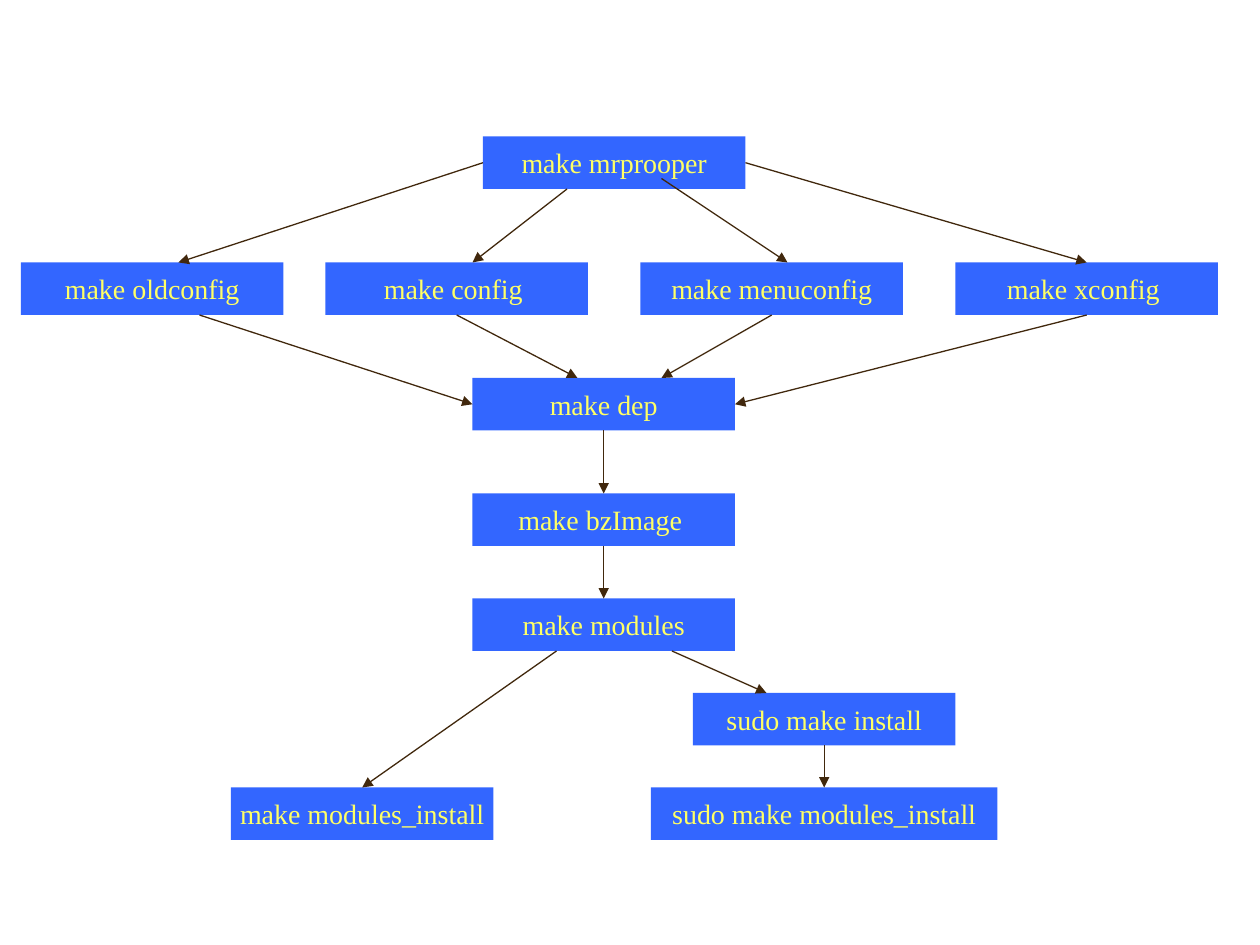
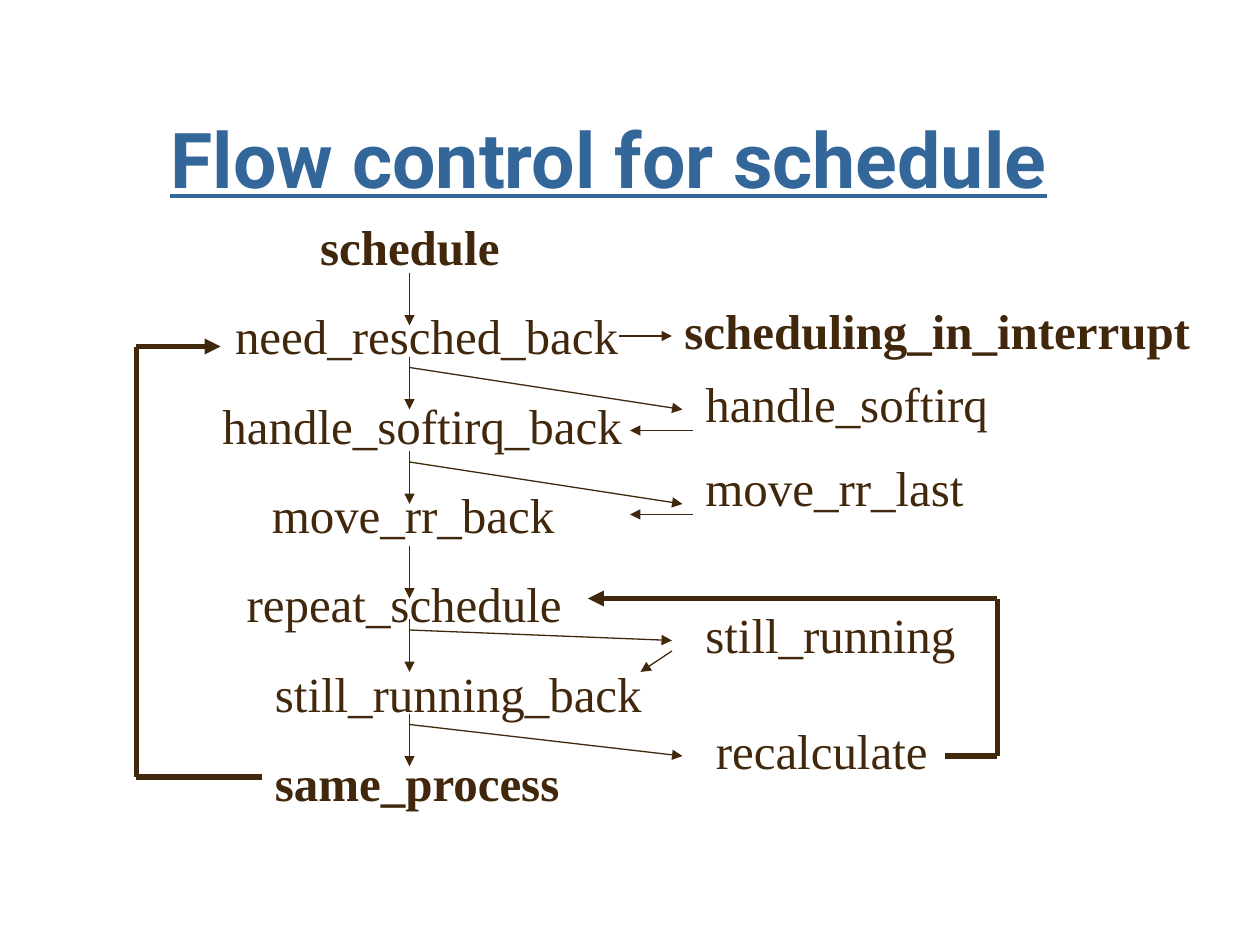
from itertools import pairwise

from lxml import etree
from pptx import Presentation
from pptx.dml.color import RGBColor
from pptx.enum.shapes import MSO_CONNECTOR, MSO_SHAPE
from pptx.enum.text import MSO_ANCHOR, PP_ALIGN
from pptx.oxml.ns import qn
from pptx.util import Pt

PX = 7620  # 120 px to the inch
COLORS = {"box": "3366FF", "box_text": "FFFF66", "ink": "41280D",
          "title": "336699", "paper": "FFFFFF"}
BODY_FONT, TITLE_FONT = "Times New Roman", "Roboto"
TOP, LEFT, BOTTOM, RIGHT = range(4)
BOX_W, BOX_H = 250, 50
LABEL_H = 68
STEP_GAP = 17.5


def rgb(name):
    return RGBColor.from_string(COLORS[name])


class Deck:
    """Holds the shared style and the slide being filled."""

    def __init__(self):
        self.prs = Presentation()
        self.prs.slide_width, self.prs.slide_height = 1200 * PX, 900 * PX
        self.s = None

    def slide(self):
        self.s = self.prs.slides.add_slide(self.prs.slide_layouts[6])

    def rect(self, x, y, w, h, fill):
        sp = self.s.shapes.add_shape(MSO_SHAPE.RECTANGLE, *(n * PX for n in (x, y, w, h)))
        sp.shadow.inherit = False
        sp.fill.solid()
        sp.fill.fore_color.rgb = rgb(fill)
        sp.line.fill.background()
        return sp

    def style(self, p, size, color, font=BODY_FONT, bold=False, align=PP_ALIGN.LEFT):
        p.alignment = align
        for r in p.runs:
            r.font.size, r.font.name, r.font.bold = Pt(size), font, bold
            r.font.color.rgb = rgb(color)

    def command(self, text, x, y, w=BOX_W):
        sp = self.rect(x, y, w, BOX_H, "box")
        tf = sp.text_frame
        tf.text = text
        tf.word_wrap = False
        tf.vertical_anchor = MSO_ANCHOR.MIDDLE
        self.style(tf.paragraphs[0], 16, "box_text", align=PP_ALIGN.CENTER)
        return sp

    def text(self, text, x, y, w, h=LABEL_H, size=28, color="ink", **look):
        sp = self.s.shapes.add_textbox(*(n * PX for n in (x, y, w, h)))
        tf = sp.text_frame
        tf.text = text
        tf.word_wrap = True
        self.style(tf.paragraphs[0], size, color, **look)
        return tf.paragraphs[0]

    def title(self, text):
        p = self.text(text, 70, 100, 1020, 150, 44, "title",
                      font=TITLE_FONT, bold=True, align=PP_ALIGN.CENTER)
        p.runs[0].font.underline = True

    def steps(self, rows, x, y, w, h):
        """One paragraph a row; a row is text, indent in px, bold."""
        tf = self.rect(x, y, w, h, "paper").text_frame
        tf.word_wrap = True
        tf.vertical_anchor = MSO_ANCHOR.TOP
        for i, (text, indent, bold) in enumerate(rows):
            p = tf.add_paragraph() if i else tf.paragraphs[0]
            p.text = text
            p.space_before = Pt(STEP_GAP if i else 0)
            pPr = p._p.get_or_add_pPr()
            pPr.set("marL", str(indent * PX))
            pPr.set("indent", "0")
            self.style(p, 28, "ink", bold=bold)

    def line(self, start, end, width=0.75, arrow=True):
        """Each end is a point (x, y) or a joint (shape, side)."""
        joints = [not isinstance(e[0], int) for e in (start, end)]
        (x1, y1), (x2, y2) = [(0, 0) if j else e for j, e in zip(joints, (start, end))]
        c = self.s.shapes.add_connector(MSO_CONNECTOR.STRAIGHT, x1 * PX, y1 * PX, x2 * PX, y2 * PX)
        if joints[0]:
            c.begin_connect(*start)
        if joints[1]:
            c.end_connect(*end)
        c.line.color.rgb = rgb("ink")
        c.line.width = Pt(width)
        if arrow:
            etree.SubElement(c.line._get_or_add_ln(), qn("a:tailEnd"), type="triangle")
        etree.SubElement(c._element.spPr, qn("a:effectLst"))

    def loop(self, *points):
        """Thick line through the points, with an arrowhead at the last."""
        for a, b in pairwise(points):
            self.line(a, b, 3, b == points[-1])


def build_slide(d):
    d.slide()
    clean = d.command("make mrprooper", 460, 130)
    old, config, menu, xconfig = [
        d.command(text, x, 250) for text, x in
        [("make oldconfig", 20), ("make config ", 310),
         ("make menuconfig", 610), ("make xconfig ", 910)]]
    dep, image, modules = [
        d.command(text, 450, y) for text, y in
        [("make dep", 360), ("make bzImage ", 470), ("make modules", 570)]]
    sudo_modules = d.command("sudo make modules_install", 620, 750, 330)
    sudo_install = d.command("sudo make install", 660, 660)
    modules_install = d.command("make modules_install", 220, 750)

    for start, end in [
            ((clean, LEFT), (170, 250)),
            ((540, 180), (450, 250)),
            ((630, 170), (750, 250)),
            ((clean, RIGHT), (xconfig, TOP)),
            ((190, 300), (dep, LEFT)),
            ((config, BOTTOM), (550, 360)),
            ((menu, BOTTOM), (630, 360)),
            ((xconfig, BOTTOM), (dep, RIGHT)),
            ((dep, BOTTOM), (image, TOP)),
            ((image, BOTTOM), (modules, TOP)),
            ((530, 620), (modules_install, TOP)),
            ((640, 620), (730, 660)),
            ((sudo_install, BOTTOM), (sudo_modules, TOP))]:
        d.line(start, end)


def schedule_slide(d):
    d.slide()
    d.title("Flow control for schedule")
    d.steps([("schedule", 163, True),
             ("need_resched_back", 82, False),
             ("handle_softirq_back", 70, False),
             ("move_rr_back", 117, False),
             ("repeat_schedule", 93, False),
             ("still_running_back", 120, False),
             ("same_process", 120, True)], 130, 200, 500, 580)

    spine = 390
    for y in (260, 340, 430, 520, 590, 680):
        d.line((spine, y), (spine, y + 50))

    d.text("scheduling_in_interrupt", 640, 280, 510, bold=True)
    for text, x, y, w in [("handle_softirq", 660, 350, 330),
                          ("move_rr_last", 660, 430, 320),
                          ("still_running", 660, 570, 290),
                          ("recalculate", 670, 680, 240)]:
        d.text(text, x, y, w)

    branches = [((spine, 350), (650, 390)), ((spine, 440), (650, 480)),
                ((spine, 600), (640, 610)), ((spine, 690), (650, 720)),
                ((590, 320), (640, 320))]
    returns = [((660, 410), (600, 410)), ((660, 490), (600, 490)),
               ((640, 620), (610, 640))]
    for start, end in branches + returns:
        d.line(start, end)

    d.loop((250, 740), (130, 740), (130, 330), (210, 330))
    d.loop((900, 720), (950, 720), (950, 570), (560, 570))


def main():
    d = Deck()
    build_slide(d)
    schedule_slide(d)
    d.prs.save("out.pptx")


if __name__ == "__main__":
    main()
